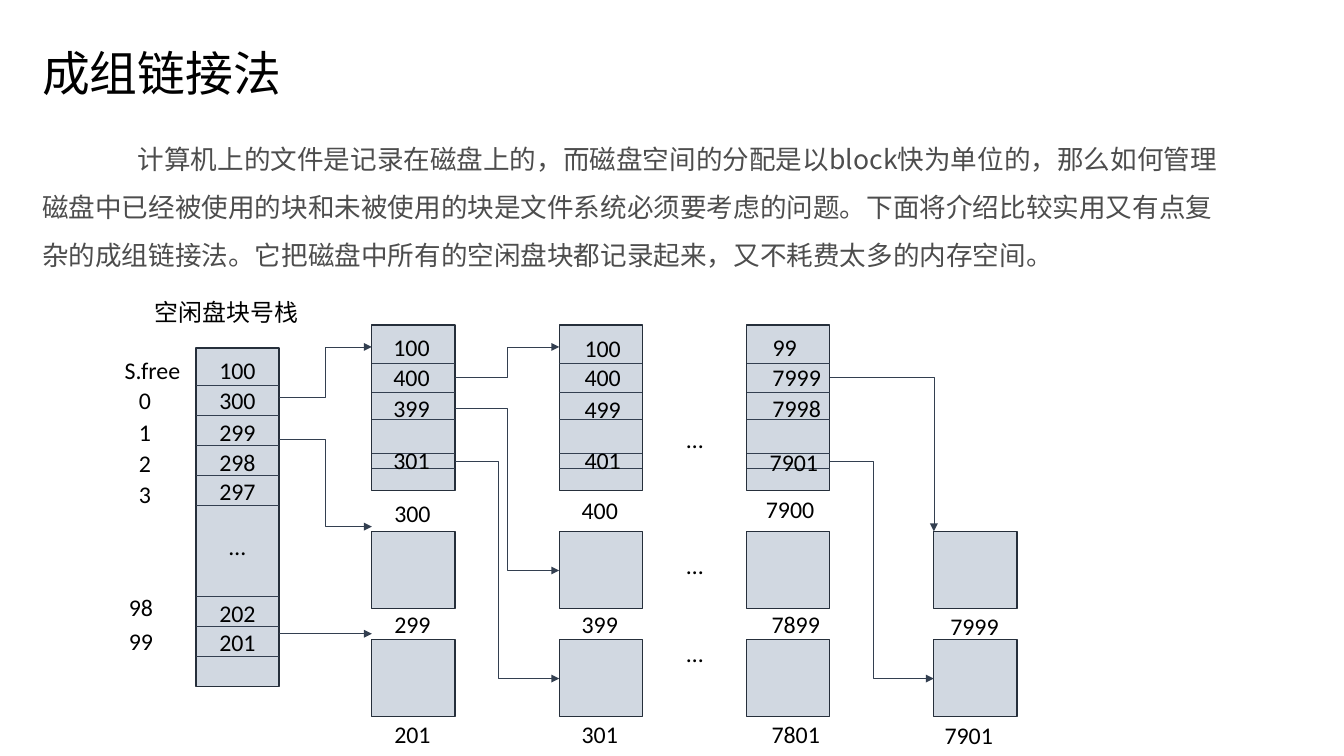
from dataclasses import dataclass

from lxml import etree
from pptx import Presentation
from pptx.dml.color import RGBColor
from pptx.enum.shapes import MSO_CONNECTOR, MSO_SHAPE
from pptx.enum.text import MSO_ANCHOR, MSO_AUTO_SIZE, PP_ALIGN
from pptx.oxml.ns import qn
from pptx.util import Pt

STRAIGHT, ELBOW = MSO_CONNECTOR.STRAIGHT, MSO_CONNECTOR.ELBOW
RECTANGLE = MSO_SHAPE.RECTANGLE
LEFT, CENTER = PP_ALIGN.LEFT, PP_ALIGN.CENTER
TOP, NO_AUTOFIT = MSO_ANCHOR.TOP, MSO_AUTO_SIZE.NONE


@dataclass(frozen=True)
class Theme:
    ink = RGBColor(0x00, 0x00, 0x00)
    prose = RGBColor(0x4D, 0x4D, 0x4D)
    block = RGBColor(0xD1, 0xD8, 0xE1)
    edge = RGBColor(0x26, 0x2F, 0x3B)
    link = RGBColor(0x33, 0x3F, 0x50)
    latin = "Calibri"
    chinese = "Noto Sans CJK SC"
    title_size, prose_size, label_size = 36, 20, 18


theme = Theme()


def write(shape, text, size, color, font, align, wrap):
    """Fill a text shape with one formatted paragraph and return it."""
    frame = shape.text_frame
    frame.text = text
    frame.word_wrap = wrap
    frame.auto_size = NO_AUTOFIT
    frame.vertical_anchor = TOP
    paragraph = frame.paragraphs[0]
    paragraph.alignment = align
    paragraph.space_before = Pt(0)
    run = paragraph.runs[0]
    run.font.size = Pt(size)
    run.font.color.rgb = color
    run.font.name = font
    if "\u4e00" <= text[0] <= "\u9fff":
        etree.SubElement(run.font._element, qn("a:ea"), typeface=theme.chinese)
    return paragraph


def connect(kind, start, end, arrow=False):
    """Draw a thin line between two points, given in points."""
    line = slide.shapes.add_connector(kind, *(Pt(v) for v in (*start, *end)))
    line.line.color.rgb = theme.link
    line.line.width = Pt(0.5)
    if arrow:
        etree.SubElement(line.line._get_or_add_ln(), qn("a:tailEnd"), type="triangle")
    etree.SubElement(line._element.spPr, qn("a:effectLst"))
    return line


prs = Presentation()
prs.slide_width, prs.slide_height = Pt(1012.3), Pt(569.5)
slide = prs.slides.add_slide(prs.slide_layouts[1])

# Title and introduction
title, intro = slide.placeholders
title.left, title.top, title.width, title.height = Pt(24.5), Pt(29.5), Pt(196.6), Pt(51.1)
write(title, "成组链接法", theme.title_size, theme.ink, theme.latin, LEFT, False)

intro.left, intro.top, intro.width, intro.height = Pt(24.5), Pt(92.2), Pt(901.4), Pt(112.3)
intro_paragraph = write(
    intro,
    "计算机上的文件是记录在磁盘上的，而磁盘空间的分配是以block快为单位的，"
    "那么如何管理磁盘中已经被使用的块和未被使用的块是文件系统必须要考虑的问题。"
    "下面将介绍比较实用又有点复杂的成组链接法。"
    "它把磁盘中所有的空闲盘块都记录起来，又不耗费太多的内存空间。",
    theme.prose_size, theme.prose, theme.chinese, LEFT, True)
intro_paragraph.line_spacing = 1.5
intro_format = intro_paragraph._p.get_or_add_pPr()
intro_format.set("marL", "0")
intro_format.set("indent", str(Pt(72)))
etree.SubElement(intro_format, qn("a:buNone"))

# Blocks: the stack, three group leaders, and two rows of plain blocks
block_width = 62.6
stack_left = 147.6
columns = [280.1 + 141.1 * i for i in range(4)]
blocks = [(stack_left, 262.1, 254.9)]
blocks += [(left, 244.8, 124.6) for left in columns[:3]]
blocks += [(left, top, 58.3) for left in columns for top in (400.3, 481.7)]
for left, top, height in blocks:
    block = slide.shapes.add_shape(
        RECTANGLE, Pt(left), Pt(top), Pt(block_width), Pt(height))
    block.shadow.inherit = False
    block.fill.solid()
    block.fill.fore_color.rgb = theme.block
    block.line.color.rgb = theme.edge
    block.line.width = Pt(1)

# Cell dividers
dividers = [(stack_left, 290.2 + 22.7 * row) for row in (0, 1, 2, 3, 4, 7, 8, 9)]
dividers += [(left, y) for left in columns[:3]
             for y in (273.6, 295.2, 316.1, 341.3, 352.8)]
for left, y in dividers:
    connect(STRAIGHT, (left, y), (left + block_width, y))

# Labels: centre of a run of labels, then each top and text
labels = [
    (170.6, {221: "空闲盘块号栈"}),
    # stack indexes and entries
    (114.8, {264.2: "S.free"}),
    (109.1, {287.3: "0", 311: "1", 334.8: "2", 357.8: "3"}),
    (106.2, {442.8: "98", 468.7: "99"}),
    (178.9, {264.2: "100", 287.3: "300", 311: "299", 333.4: "298", 355.7: "297",
             396.7: "…", 447.1: "202", 469.4: "201"}),
    # group leader entries
    (310, {247: "100", 270: "400", 293: "399", 331.9: "301"}),
    (454, {247.7: "100", 270: "400", 293.8: "499", 331.9: "401"}),
    (591.1, {247: "99"}),
    (600.1, {270: "7999", 293: "7998"}),
    (598, {333.4: "7901"}),
    # block numbers and gaps
    (310.7, {372.2: "300", 455.8: "299", 538.6: "201"}),
    (451.8, {370.1: "400", 455.8: "399", 538.6: "301"}),
    (595.1, {369.4: "7900"}),
    (599.4, {455.8: "7899", 538.6: "7801"}),
    (734, {457.2: "7999"}),
    (729.7, {539.3: "7901"}),
    (523.4, {316.1: "…", 411.1: "…", 477.4: "…"}),
]
label_width = 124
for center, texts in labels:
    for top, text in texts.items():
        label = slide.shapes.add_textbox(
            Pt(center - label_width / 2), Pt(top), Pt(label_width), Pt(28.8))
        write(label, text, theme.label_size, theme.ink, theme.latin, CENTER, False)

# Links from entries to blocks
stack_right = stack_left + block_width
first_right, _, third_right, _ = [left + block_width for left in columns]
connect(STRAIGHT, (stack_right, 477.4), (columns[0], 477.4), arrow=True)
for start, end in [
    ((stack_right, 331.2), (columns[0], 396.7)),
    ((stack_right, 299.5), (columns[0], 261.4)),
    ((first_right, 284.4), (columns[1], 261.4)),
    ((first_right, 307.4), (columns[1], 429.8)),
]:
    connect(ELBOW, start, end, arrow=True)

# Last entries turn before the middle of the gap
for right, target in [(first_right, columns[1]), (third_right, columns[3])]:
    early_turn = connect(ELBOW, (right, 347.8), (target, 511.2), arrow=True)
    geometry = early_turn._element.spPr.find(qn("a:prstGeom"))
    etree.SubElement(geometry.find(qn("a:avLst")), qn("a:gd"),
                     name="adj1", fmla="val 42000")

# The link to block 7999 has a single corner
corner = connect(ELBOW, (third_right, 284.4), (columns[3], 400.3), arrow=True)
corner._element.spPr.find(qn("a:prstGeom")).set("prst", "bentConnector2")

prs.save("out.pptx")
